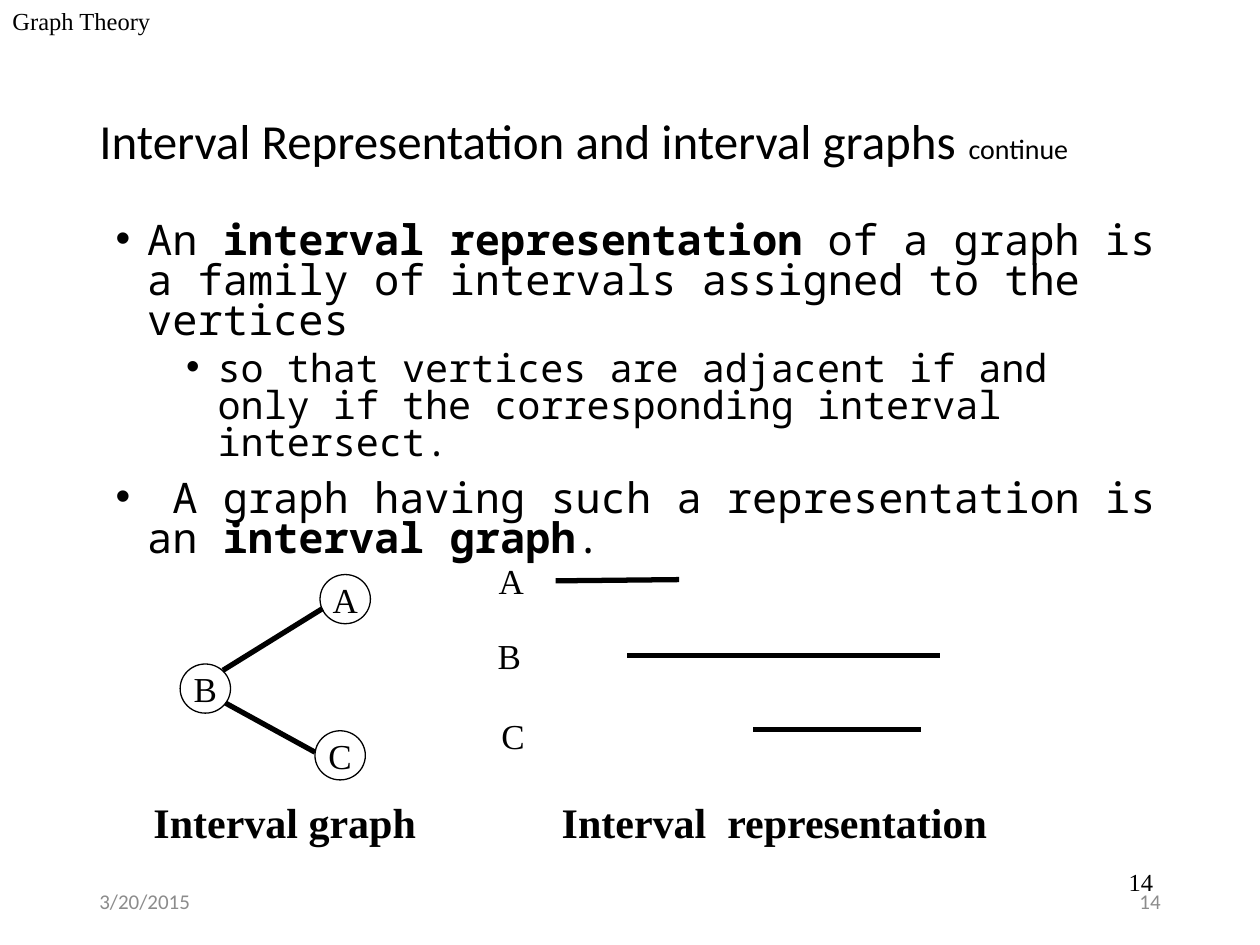
import pptx
import pptx.util
import pptx.dml.color
import pptx.enum.shapes
import pptx.enum.text
import pptx.oxml.ns
import lxml.etree

COLUMNS, ROWS = 100, 75
SERIF, SANS, MONO = "Times New Roman", "Calibri", "Noto Sans Mono"
BLACK, GREY = "000000", "8C8C8C"
ALIGN = pptx.enum.text.PP_ALIGN
ANCHOR = pptx.enum.text.MSO_ANCHOR

deck = pptx.Presentation()
deck.slide_width = pptx.util.Inches(10)
deck.slide_height = pptx.util.Inches(7.5)
page = deck.slides.add_slide(deck.slide_layouts[6])


def color(code):
    return pptx.dml.color.RGBColor.from_string(code)


def across(columns):
    return round(deck.slide_width * columns / COLUMNS)


def down(rows):
    return round(deck.slide_height * rows / ROWS)


def place(box):
    left, top, width, height = box
    return across(left), down(top), across(width), down(height)


def add_spans(para, spans, font, size, ink=BLACK, bold=False):
    """Each span is a text with the font settings that differ from the rest."""
    for text, changes in spans:
        span = para.add_run()
        span.text = text
        span.font.name = font
        span.font.size = pptx.util.Pt(changes.get("size", size))
        span.font.bold = changes.get("bold", bold)
        span.font.color.rgb = color(ink)


def add_text(box, spans, align=ALIGN.LEFT, anchor=ANCHOR.TOP, wrap=True,
             line_spacing=None, **style):
    frame = page.shapes.add_textbox(*place(box)).text_frame
    frame.word_wrap = wrap
    frame.vertical_anchor = anchor
    para = frame.paragraphs[0]
    para.alignment = align
    para.line_spacing = line_spacing
    add_spans(para, spans if isinstance(spans, list) else [(spans, {})], **style)


def add_line(start, end):
    line = page.shapes.add_connector(
        pptx.enum.shapes.MSO_CONNECTOR.STRAIGHT,
        across(start[0]), down(start[1]), across(end[0]), down(end[1]))
    line.line.color.rgb = color(BLACK)
    line.line.width = pptx.util.Pt(3)
    properties = line._element.spPr
    lxml.etree.SubElement(properties, pptx.oxml.ns.qn("a:effectLst"))


def add_node(box, name):
    node = page.shapes.add_shape(pptx.enum.shapes.MSO_SHAPE.OVAL, *place(box))
    node.shadow.inherit = False
    node.fill.background()
    node.line.color.rgb = color(BLACK)
    node.line.width = pptx.util.Pt(0.75)
    frame = node.text_frame
    frame.margin_left = frame.margin_right = 0
    frame.margin_top = frame.margin_bottom = 0
    frame.word_wrap = False
    frame.vertical_anchor = ANCHOR.MIDDLE
    frame.paragraphs[0].alignment = ALIGN.CENTER
    add_spans(frame.paragraphs[0], [(name, {})], SERIF, 20)


def add_bullet(para, indent):
    properties = para._p.get_or_add_pPr()
    properties.set("marL", str(pptx.util.Inches(indent)))
    properties.set("indent", str(pptx.util.Inches(-0.25)))
    font = lxml.etree.SubElement(properties, pptx.oxml.ns.qn("a:buFont"))
    font.set("typeface", "Arial")
    mark = lxml.etree.SubElement(properties, pptx.oxml.ns.qn("a:buChar"))
    mark.set("char", "•")


def add_definitions(box):
    bold = {"bold": True}
    points = [
        (0, [("An ", {}), ("interval representation", bold),
             (" of a graph is a family of intervals assigned to the vertices", {})]),
        (1, [("so that vertices are adjacent if and only if the corresponding "
              "interval intersect.", {})]),
        (0, [(" A graph having such a representation is an ", {}),
             ("interval graph", bold), (".", {})]),
    ]
    frame = page.shapes.add_textbox(*place(box)).text_frame
    frame.word_wrap = True
    for number, (level, spans) in enumerate(points):
        para = frame.add_paragraph() if number else frame.paragraphs[0]
        para.level = level
        para.line_spacing = 0.8
        if number:
            para.space_before = pptx.util.Pt(5 if level else 10)
        add_bullet(para, 0.81 if level else 0.25)
        add_spans(para, spans, MONO, 22 if level else 24)


def add_interval_graph(box):
    left, top, width, height = box
    nodes = {"A": (11.1, 0), "B": (0, 7.1), "C": (10.7, 12.4)}
    edges = [((3.4, 7.6), (11.3, 2.7)), ((3.6, 10.2), (10.7, 14.1))]
    for name, (x, y) in nodes.items():
        add_node((left + x, top + y, 4, 3.9), name)
    for start, end in edges:
        add_line((left + start[0], top + start[1]), (left + end[0], top + end[1]))
    add_text((left - 3.1, top + height, width + 9.3, 5), "Interval graph",
             font=SERIF, size=24, bold=True)


def add_interval_representation(box):
    left, top, width, height = box
    # name, label corner, line start, line end
    intervals = [
        ("A", (0.1, 0), (5.6, 2.2), (15.4, 2.1)),
        ("B", (0, 6), (11.3, 8.1), (36.1, 8.1)),
        ("C", (0.3, 12.3), (21.3, 14), (34.6, 14)),
    ]
    for name, label, start, end in intervals:
        add_text((left + label[0], top + label[1], 3.8, 4.3), name,
                 wrap=False, font=SERIF, size=20)
        add_line((left + start[0], top + start[1]), (left + end[0], top + end[1]))
    add_text((left + 5.1, top + height, width, 5), "Interval  representation",
             wrap=False, font=SERIF, size=24, bold=True)


def add_title(box):
    spans = [("Interval Representation and interval graphs", {}),
             (" ", {"size": 32}), ("continue", {"size": 16})]
    add_text(box, spans, anchor=ANCHOR.MIDDLE, line_spacing=0.9,
             font=SANS, size=28)


def add_footer(box):
    left, top, width, height = box
    part = 22.5
    style = dict(anchor=ANCHOR.MIDDLE, font=SANS, size=12, ink=GREY)
    add_text((left, top, part, height), "3/20/2015", **style)
    add_text((left + width - part, top, part, height), "14",
             align=ALIGN.RIGHT, **style)


add_text((0, 0, 20.8, 5), "Graph Theory", font=SERIF, size=14)
add_text((71.7, 68.3, 20.8, 5), "14", align=ALIGN.RIGHT, font=SERIF, size=14)
add_title((6.9, 4, 86.2, 14.5))
add_definitions((8.2, 17.2, 85, 24))
add_interval_graph((14.3, 45.6, 15.1, 17.1))
add_interval_representation((38.5, 43.9, 36.2, 18.8))
add_footer((6.9, 69.5, 86.2, 4))
deck.save("out.pptx")
